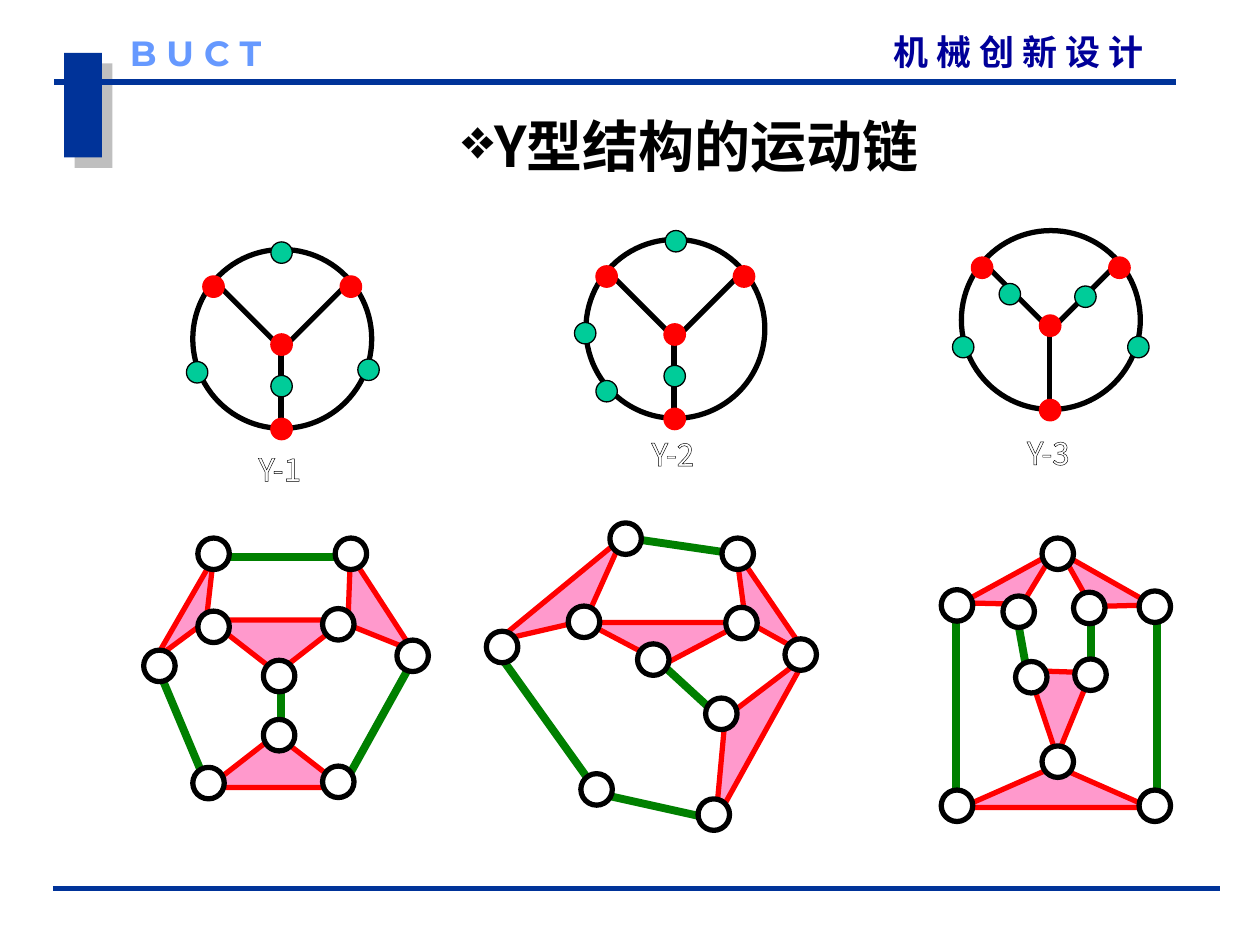
from dataclasses import dataclass

from lxml.etree import SubElement
from pptx import Presentation
from pptx.dml.color import RGBColor
from pptx.enum.shapes import MSO_CONNECTOR, MSO_SHAPE
from pptx.enum.text import MSO_ANCHOR, MSO_AUTO_SIZE, PP_ALIGN
from pptx.oxml import parse_xml
from pptx.oxml.ns import nsdecls, qn
from pptx.util import Inches, Pt

WIDTH, HEIGHT = Inches(10), Inches(7.5)
COLUMN, ROW = WIDTH // 1000, HEIGHT // 750


@dataclass(frozen=True)
class Theme:
    """Colours, fonts, type sizes and line widths of the deck."""
    navy: str = "003399"
    heading: str = "000099"
    sky: str = "6699FF"
    black: str = "000000"
    white: str = "FFFFFF"
    red: str = "FF0000"
    teal: str = "00CC99"
    pink: str = "FF99CC"
    green: str = "008000"
    shadow: str = "808080"
    chinese: str = "Noto Sans CJK SC"
    latin: str = "Montserrat"
    title_size: int = 32
    header_size: int = 20
    label_size: int = 18
    thin: float = 0.75
    bold: float = 3
    link: float = 4.5


THEME = Theme()

RING = 142
SPOKES = [(17, 25, 67, 75), (125, 25, 75, 75), (70, 75, 70, 142)]
HUBS = [(8, 21), (62, 134), (117, 21), (62, 67)]

# name, ring corner, label row below the ring corner, teal dots
GRAPHS = [
    ("Y-1", (153, 198), 154, [(62, -6), (-5, 89), (131, 87), (62, 100)]),
    ("Y-2", (465, 190), 150, [(63, -7), (62, 100), (8, 112), (-9, 66)]),
    ("Y-3", (763, 183), 156, [(90, 44), (30, 42), (132, 84), (-7, 84)]),
]

CHAINS = [
    dict(
        plates=[(165, 583, 108, 42, 0), (166, 492, 108, 42, 180),
                (244, 471, 91, 32, 237), (109, 478, 92, 20, 120)],
        links=[(223, 533, 223, 583), (173, 442, 273, 442),
               (123, 525, 165, 625), (330, 520, 270, 628)],
        joints=[(256, 483), (114, 516), (157, 485), (266, 427), (157, 427),
                (209, 571), (256, 608), (153, 609), (209, 524), (315, 508)]),
    dict(
        plates=[(390, 464, 129, 32, 140.6), (465, 494, 125, 33, 180),
                (552, 473, 100, 25, 235.7), (515, 561, 150, 33, 299)],
        links=[(498, 427, 587, 440), (390, 511, 473, 627),
               (524, 526, 572, 570), (471, 629, 570, 651)],
        joints=[(623, 507), (576, 482), (386, 501), (451, 481), (573, 427),
                (484, 415), (461, 614), (554, 634), (560, 554), (506, 511)]),
    dict(
        plates=[(763, 608, 150, 33, 0), (815, 533, 50, 67, 181.9),
                (764, 457, 83, 24, 151.3), (831, 458, 83, 25, 209.6)],
        links=[(759, 475, 759, 642), (866, 483, 866, 533),
               (806, 483, 815, 533), (918, 477, 918, 643)],
        joints=[(806, 525), (904, 469), (852, 470), (796, 473), (747, 468),
                (827, 427), (904, 627), (747, 627), (827, 592), (853, 523)]),
]


def frame(left, top, width, height):
    """Turn grid columns and rows into slide lengths."""
    return left * COLUMN, top * ROW, width * COLUMN, height * ROW


def add_figure(shapes, kind, place, fill, line=None, weight=THEME.bold, turn=0):
    """Add a filled preset shape, optionally outlined and turned."""
    figure = shapes.add_shape(kind, *frame(*place))
    figure.shadow.inherit = False
    figure.fill.solid()
    figure.fill.fore_color.rgb = RGBColor.from_string(fill)
    if line:
        figure.line.color.rgb = RGBColor.from_string(line)
        figure.line.width = Pt(weight)
    else:
        figure.line.fill.background()
    figure.rotation = turn
    return figure


def add_line(shapes, ends, color, weight=THEME.bold):
    """Add a straight connector between two grid points."""
    line = shapes.add_connector(
        MSO_CONNECTOR.STRAIGHT, *frame(*ends))
    line.line.color.rgb = RGBColor.from_string(color)
    line.line.width = Pt(weight)
    SubElement(line._element.spPr, qn("a:effectLst"))


def add_span(para, text, size, color, font, bold=False):
    """Add one formatted run for Latin and East Asian type."""
    span = para.add_run()
    span.text = text
    span.font.size = Pt(size)
    span.font.bold = bold
    span.font.color.rgb = RGBColor.from_string(color)
    span.font.name = font
    SubElement(span._r.get_or_add_rPr(), qn("a:ea"), typeface=font)
    return span


def clear_insets(text_frame):
    """Take away the four inner margins of a text frame."""
    text_frame.margin_left = text_frame.margin_right = 0
    text_frame.margin_top = text_frame.margin_bottom = 0


def add_text(shapes, place, align, *style, wrap=True, bold=False):
    """Add a one-line text box and return its run."""
    box = shapes.add_textbox(*frame(*place))
    clear_insets(box.text_frame)
    box.text_frame.word_wrap = wrap
    para = box.text_frame.paragraphs[0]
    para.alignment = align
    return add_span(para, *style, bold=bold)


def add_title(page, text):
    """Place the title with its diamond bullet."""
    title = page.shapes.title
    title.left, title.top, title.width, title.height = frame(209, 76, 678, 79)
    clear_insets(title.text_frame)
    title.text_frame.vertical_anchor = MSO_ANCHOR.MIDDLE
    title.text_frame.auto_size = MSO_AUTO_SIZE.NONE
    para = title.text_frame.paragraphs[0]
    para.alignment = PP_ALIGN.CENTER
    properties = para._p.get_or_add_pPr()
    color = SubElement(properties, qn("a:buClr"))
    SubElement(color, qn("a:srgbClr"), val=THEME.black)
    SubElement(properties, qn("a:buChar"), char="❖")
    add_span(para, text, THEME.title_size, THEME.black, THEME.chinese, bold=True)


def add_banner(page):
    """Draw the header block, both rules and the header words."""
    block = add_figure(page.shapes, MSO_SHAPE.RECTANGLE, (51, 42, 30, 83), THEME.navy)
    block._element.spPr.find(qn("a:effectLst")).append(parse_xml(
        f'<a:outerShdw {nsdecls("a")} dist="{Pt(8.5)}" dir="2700000" algn="ctr" '
        f'rotWithShape="0"><a:srgbClr val="{THEME.shadow}">'
        '<a:alpha val="50000"/></a:srgbClr></a:outerShdw>'))
    for ends in [(43, 65, 933, 65), (42, 705, 968, 705)]:
        add_connector_ends = (ends[0], ends[1], ends[2], ends[3])
        add_line(page.shapes, add_connector_ends, THEME.navy)
    add_text(page.shapes, (544, 24, 364, 40), PP_ALIGN.RIGHT, "机 械 创 新 设 计",
             THEME.header_size, THEME.heading, THEME.chinese, bold=True)
    add_text(page.shapes, (103, 25, 142, 33), PP_ALIGN.LEFT, "B U C T",
             THEME.header_size, THEME.sky, THEME.latin, bold=True)


def add_graph(page, name, corner, label_row, dots):
    """Draw one ring graph with spokes, hubs, dots and label."""
    shapes = page.shapes.add_group_shape().shapes
    left, top = corner
    add_figure(shapes, MSO_SHAPE.OVAL, (left, top, RING, RING), THEME.white, THEME.black)
    for x1, y1, x2, y2 in SPOKES:
        add_line(shapes, (left + x1, top + y1, left + x2, top + y2), THEME.black)
    for places, fill, line in [(HUBS, THEME.red, THEME.red), (dots, THEME.teal, THEME.black)]:
        for x, y in places:
            add_figure(shapes, MSO_SHAPE.OVAL, (left + x, top + y, 17, 17),
                       fill, line, THEME.thin)
    span = add_text(shapes, (left + 50, top + label_row + 5, 38, 25), PP_ALIGN.CENTER,
                    name, THEME.label_size, THEME.white, THEME.chinese, wrap=False)
    span._r.get_or_add_rPr().insert(0, parse_xml(
        f'<a:ln {nsdecls("a")} w="{Pt(THEME.thin)}"><a:solidFill>'
        f'<a:srgbClr val="{THEME.black}"/></a:solidFill></a:ln>'))


def add_chain(page, plates, links, joints):
    """Draw one kinematic chain of plates, links and joints."""
    shapes = page.shapes.add_group_shape().shapes
    for *place, turn in plates:
        add_figure(shapes, MSO_SHAPE.ISOSCELES_TRIANGLE, place, THEME.pink,
                   THEME.red, turn=turn)
    for ends in links:
        add_line(shapes, ends, THEME.green, THEME.link)
    for left, top in joints:
        add_figure(shapes, MSO_SHAPE.OVAL, (left, top, 25, 25), THEME.white, THEME.black)


def main():
    """Build the slide and save the deck."""
    deck = Presentation()
    deck.slide_width, deck.slide_height = WIDTH, HEIGHT
    page = deck.slides.add_slide(deck.slide_layouts[5])
    add_banner(page)
    add_title(page, "Y型结构的运动链")
    for graph in GRAPHS:
        add_graph(page, *graph)
    for chain in CHAINS:
        add_chain(page, **chain)
    deck.save("out.pptx")


if __name__ == "__main__":
    main()
